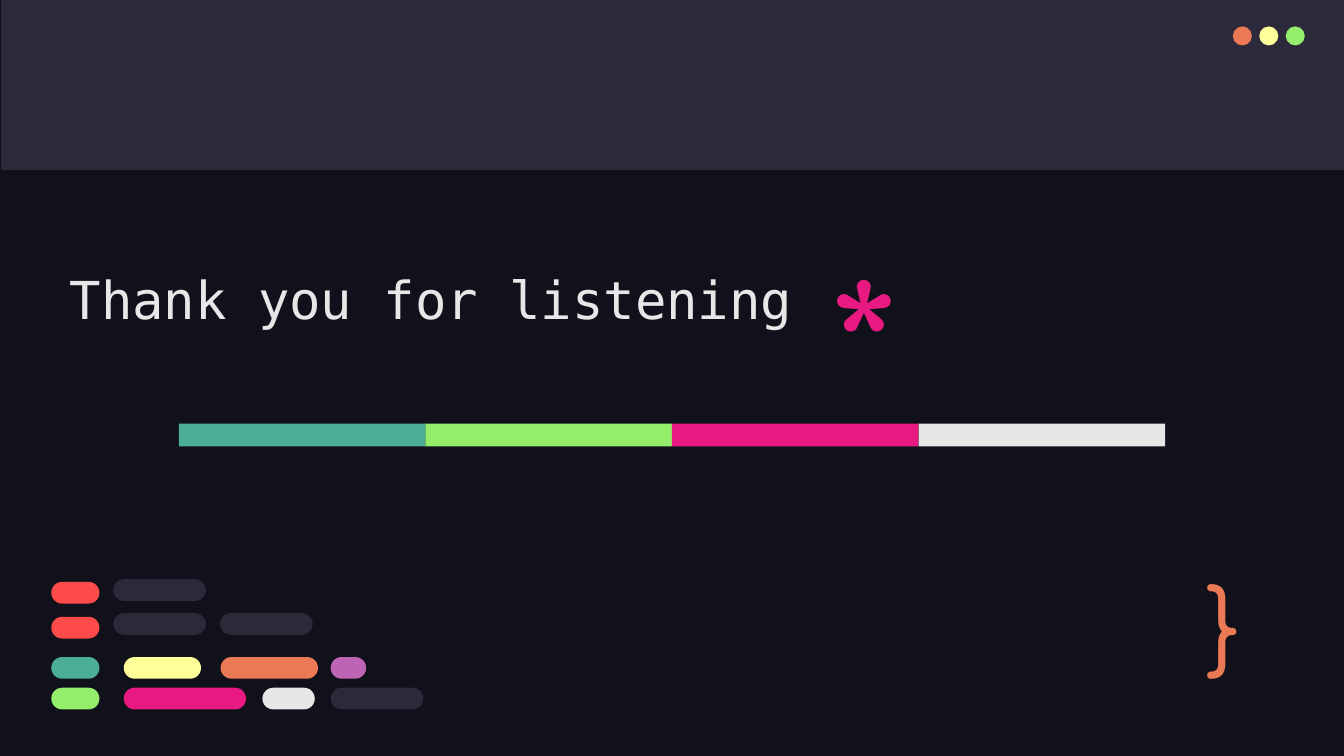
import dataclasses

import pptx
import pptx.dml.color
import pptx.enum.shapes
import pptx.enum.text
import pptx.util

Cm = pptx.util.Cm
SHAPE = pptx.enum.shapes.MSO_SHAPE
ANCHOR = pptx.enum.text.MSO_ANCHOR
ALIGN = pptx.enum.text.PP_ALIGN


@dataclasses.dataclass(frozen=True)
class Theme:
    night: str = "10111A"
    slate: str = "2C293A"
    orange: str = "EC7955"
    yellow: str = "FFFF99"
    green: str = "94EE6B"
    teal: str = "4CAE97"
    pink: str = "E81A81"
    red: str = "FD4A4A"
    purple: str = "BD64B5"
    light: str = "E7E7E7"
    code_font: str = "DejaVu Sans Mono"
    symbol_font: str = "Comfortaa"
    title_size: int = 28
    brace_size: int = 50
    asterisk_size: int = 96


@dataclasses.dataclass(frozen=True)
class Box:
    """A rectangle measured in centimetres."""
    left: float
    top: float
    width: float
    height: float

    def inner(self, dx, dy, width, height):
        return Box(self.left + dx, self.top + dy, width, height)

    def lengths(self):
        return [Cm(value) for value in dataclasses.astuple(self)]


THEME = Theme()


def rgb(colour):
    return pptx.dml.color.RGBColor.from_string(colour)


def add_block(slide, box, colour, preset=SHAPE.RECTANGLE):
    block = slide.shapes.add_shape(preset, *box.lengths())
    block.shadow.inherit = False
    block.fill.solid()
    block.fill.fore_color.rgb = rgb(colour)
    block.line.fill.background()
    return block


def write(holder, text, *, font, size, colour, align=ALIGN.LEFT,
          anchor=ANCHOR.TOP, spacing=1.0):
    frame = holder.text_frame
    frame.word_wrap = True
    frame.auto_size = pptx.enum.text.MSO_AUTO_SIZE.NONE
    frame.vertical_anchor = anchor
    frame.margin_left = frame.margin_right = Cm(0.25)
    frame.margin_top = frame.margin_bottom = Cm(0.25)
    paragraph = frame.paragraphs[0]
    paragraph.alignment = align
    paragraph.line_spacing = spacing
    run = paragraph.add_run()
    run.text = text
    run.font.name = font
    run.font.size = pptx.util.Pt(size)
    run.font.color.rgb = rgb(colour)


def add_header(slide, box):
    """Window bar with three round buttons near its right end."""
    add_block(slide, box, THEME.slate)
    for index, colour in enumerate((THEME.orange, THEME.yellow, THEME.green)):
        button = box.inner(23.28 + 0.5 * index, 0.5, 0.36, 0.36)
        add_block(slide, button, colour, SHAPE.OVAL)


def place_title(slide, box):
    title = slide.shapes.title
    title.left, title.top, title.width, title.height = box.lengths()
    write(title, "Thank you for listening", font=THEME.code_font,
          size=THEME.title_size, colour=THEME.light, align=ALIGN.CENTER,
          spacing=1.15)


def add_symbol(slide, box, symbol, **text_format):
    holder = slide.shapes.add_textbox(*box.lengths())
    write(holder, symbol, font=THEME.symbol_font, **text_format)


def add_colour_band(slide, box):
    colours = (THEME.teal, THEME.green, THEME.pink, THEME.light)
    width = box.width / len(colours)
    for index, colour in enumerate(colours):
        add_block(slide, box.inner(index * width, 0, width, box.height), colour)


def add_code_pills(slide, box):
    """Rows of pills that stand for lines of code."""
    keyword, comment = 0.91, 1.75
    rows = (
        (0.05, ((0, keyword, THEME.red),)),
        (0.71, ((0, keyword, THEME.red),)),
        (1.47, ((0, keyword, THEME.teal), (1.37, 1.46, THEME.yellow),
                (3.2, 1.84, THEME.orange), (5.28, 0.67, THEME.purple))),
        (2.05, ((0, keyword, THEME.green), (1.37, 2.31, THEME.pink),
                (3.99, 0.99, THEME.light), (5.28, comment, THEME.slate))),
        (0, ((1.17, comment, THEME.slate),)),
        (0.64, ((1.17, comment, THEME.slate), (3.19, comment, THEME.slate))),
    )
    for dy, pills in rows:
        for dx, width, colour in pills:
            pill = add_block(slide, box.inner(dx, dy, width, 0.41), colour,
                             SHAPE.ROUNDED_RECTANGLE)
            pill.adjustments[0] = 0.5


def main():
    deck = pptx.Presentation()
    deck.slide_width, deck.slide_height = Cm(25.4), Cm(14.29)
    slide = deck.slides.add_slide(deck.slide_layouts[5])
    slide.background.fill.solid()
    slide.background.fill.fore_color.rgb = rgb(THEME.night)

    add_header(slide, Box(0.02, 0, 25.4, 3.22))
    add_colour_band(slide, Box(3.38, 8.01, 18.64, 0.43))
    add_symbol(slide, Box(15.42, 4.32, 1.45, 2.21), "*",
               size=THEME.asterisk_size, colour=THEME.pink)
    add_code_pills(slide, Box(0.97, 10.95, 7.03, 2.46))
    add_symbol(slide, Box(22.56, 10.67, 1.45, 2.11), "}",
               size=THEME.brace_size, colour=THEME.orange,
               anchor=ANCHOR.MIDDLE)
    place_title(slide, Box(0.41, 4.62, 15.47, 2.21))
    deck.save("out.pptx")


if __name__ == "__main__":
    main()
